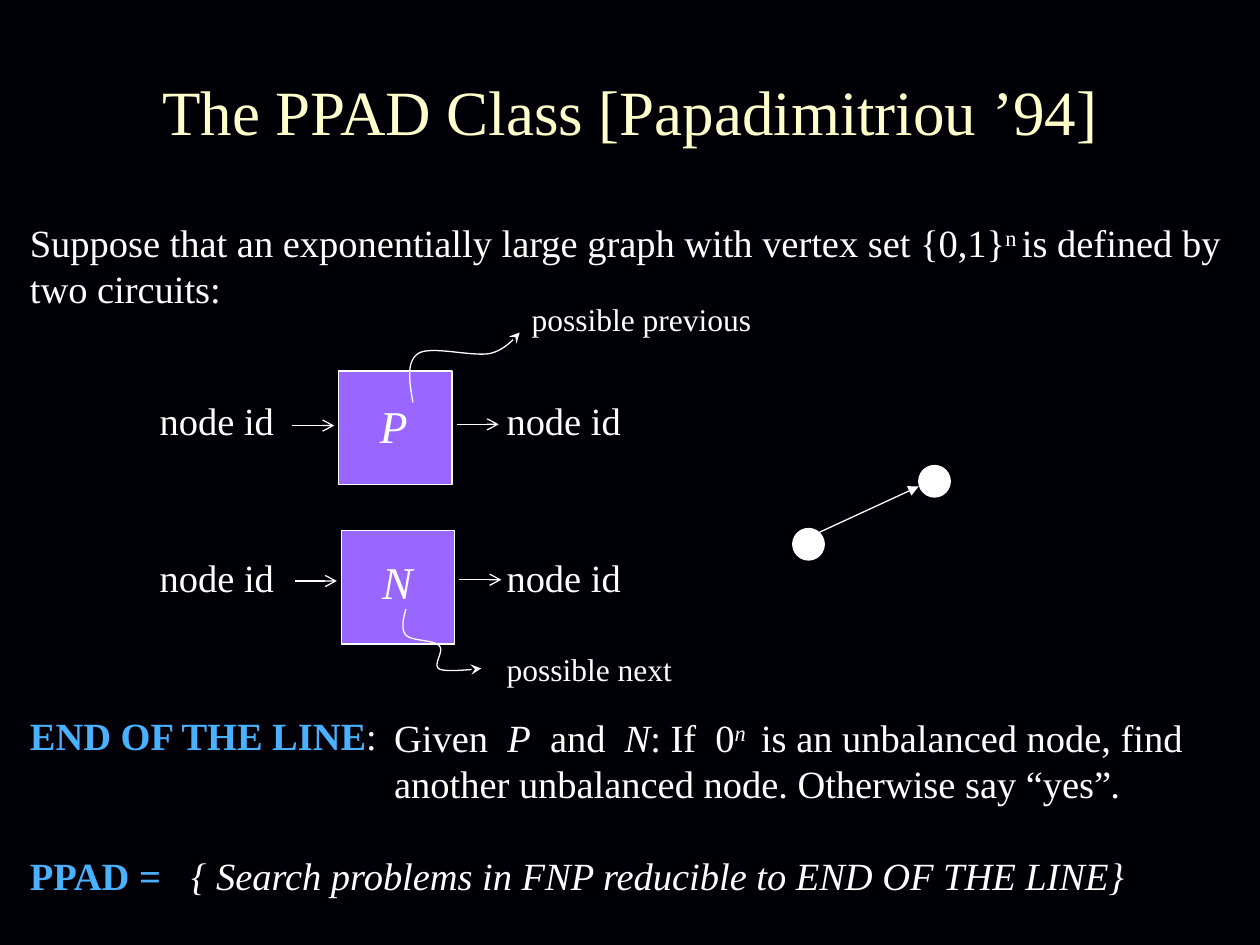
from lxml.etree import SubElement
from pptx import Presentation
from pptx.dml.color import RGBColor
from pptx.enum.shapes import MSO_CONNECTOR, MSO_SHAPE
from pptx.enum.text import MSO_ANCHOR, MSO_AUTO_SIZE, PP_ALIGN
from pptx.oxml.ns import qn
from pptx.util import Pt

NIGHT = RGBColor(0x01, 0x00, 0x06)
CREAM = RGBColor(0xFF, 0xFF, 0xCC)
WHITE = RGBColor(0xFF, 0xFF, 0xFF)
PURPLE = RGBColor(0x99, 0x66, 0xFF)
BLUE = RGBColor(0x49, 0xB1, 0xFF)

ITALIC = {"italic": True}
BOLD = {"bold": True}


class Deck:
    font = {"name": "Times New Roman", "bold": False, "italic": False}
    line_width = 0.75
    curve_steps = 16

    def __init__(self):
        self.prs = Presentation()
        self.prs.slide_width, self.prs.slide_height = Pt(720), Pt(540)

    def add_slide(self):
        self.s = self.prs.slides.add_slide(self.prs.slide_layouts[5])
        fill = self.s.background.fill
        fill.solid()
        fill.fore_color.rgb = NIGHT

    def add_run(self, p, text, size, color=WHITE, raised=False, **format_values):
        r = p.add_run()
        r.text = text
        for key, value in {**self.font, "size": Pt(size), **format_values}.items():
            setattr(r.font, key, value)
        r.font.color.rgb = color
        if raised:
            r._r.get_or_add_rPr().set("baseline", "30000")

    def title(self, text, left, top, width, height):
        sp = self.s.shapes.title
        sp.left, sp.top, sp.width, sp.height = map(Pt, (left, top, width, height))
        tf = sp.text_frame
        tf.vertical_anchor = MSO_ANCHOR.MIDDLE
        p = tf.paragraphs[0]
        p.alignment = PP_ALIGN.CENTER
        self.add_run(p, text, 36, CREAM)

    def text(self, runs, left, top, width, height=33.6, size=22, wrap=False):
        sp = self.s.shapes.add_textbox(*map(Pt, (left, top, width, height)))
        tf = sp.text_frame
        tf.word_wrap = wrap
        tf.auto_size = MSO_AUTO_SIZE.SHAPE_TO_FIT_TEXT
        for text, format_values in runs:
            self.add_run(tf.paragraphs[0], text, size, **format_values)

    def outline(self, sp):
        sp.line.color.rgb = WHITE
        sp.line.width = Pt(self.line_width)

    def head(self, sp, kind):
        SubElement(sp.line._get_or_add_ln(), qn("a:tailEnd"), type=kind)

    def shape(self, kind, left, top, side, color):
        sp = self.s.shapes.add_shape(kind, *map(Pt, (left, top, side, side)))
        sp.shadow.inherit = False
        sp.fill.solid()
        sp.fill.fore_color.rgb = color
        self.outline(sp)

    def arrow(self, x1, y1, x2, y2, kind="arrow"):
        sp = self.s.shapes.add_connector(
            MSO_CONNECTOR.STRAIGHT, *map(Pt, (x1, y1, x2, y2)))
        self.outline(sp)
        self.head(sp, kind)
        SubElement(sp._element.spPr, qn("a:effectLst"))

    def curve(self, start, *segments):
        points, a = [], start
        for b, c, d in segments:
            for i in range(1, self.curve_steps + 1):
                t = i / self.curve_steps
                u = 1 - t
                points.append(tuple(
                    Pt(u**3 * a[k] + 3 * u * u * t * b[k]
                       + 3 * u * t * t * c[k] + t**3 * d[k]) for k in (0, 1)))
            a = d
        builder = self.s.shapes.build_freeform(*map(Pt, start))
        builder.add_line_segments(points, close=False)
        sp = builder.convert_to_shape()
        sp.shadow.inherit = False
        sp.fill.background()
        self.outline(sp)
        self.head(sp, "stealth")

    def circuit(self, name, left, top, letter_left, letter_top, row_top, arrow_y):
        self.shape(MSO_SHAPE.RECTANGLE, left, top, 64.8, PURPLE)
        self.text([(name, ITALIC)], letter_left, letter_top, 40, 38.9, size=26)
        self.arrow(left - 26.5, arrow_y, left - 2.5, arrow_y)
        self.arrow(left + 67.5, arrow_y - 0.7, left + 91.5, arrow_y - 0.7)
        for x in (84.2, 282.4):
            self.text([("node id", {})], x, row_top, 80.6)


def main():
    deck = Deck()
    deck.add_slide()
    deck.title("The PPAD Class [Papadimitriou ’94]", 24, 18, 672, 90)
    deck.text([
        ("Suppose that an exponentially large graph with vertex set {0,1}", {}),
        ("n ", {"raised": True}),
        ("is defined by two circuits:", {}),
    ], 10, 121.8, 710, 60.5, wrap=True)

    deck.circuit("P", 193.5, 212, 210, 224, 223.6, 243.2)
    deck.circuit("N", 195, 303.2, 211.2, 313.3, 312.8, 332)

    deck.arrow(459.5, 308.2, 525, 278, "triangle")
    for x, y in ((453, 302), (525, 266)):
        deck.shape(MSO_SHAPE.OVAL, x, y, 18, WHITE)

    deck.text([("END OF THE LINE", {"color": BLUE, **BOLD}), (":", {})],
              10, 403.2, 215.3)
    deck.text([
        ("Given  ", {}),
        ("P", ITALIC),
        ("  and  ", {}),
        ("N", ITALIC),
        (": If  0", {}),
        ("n ", {"raised": True, **ITALIC}),
        (" is an unbalanced node, find another unbalanced node. "
         "Otherwise say “yes”", {}),
        (".", ITALIC),
    ], 218.2, 404.6, 501.8, 60.5, wrap=True)
    deck.text([("PPAD =", {"color": BLUE, **BOLD})], 10, 483.4, 90)
    deck.text([("{ Search problems in FNP reducible to END OF THE LINE}", ITALIC)],
              102.2, 483.4, 576, wrap=True)

    deck.curve((236, 230),
               ((234, 218.3), (232, 206.6), (239, 202)),
               ((246.2, 197.3), (270, 204), (280, 202)),
               ((289.5, 200), (297, 190), (297, 190)))
    deck.text([("possible previous", {})], 296.8, 167.8, 141, 28.8, size=18)
    deck.curve((232, 348),
               ((230.4, 353.5), (229, 359.5), (232, 363)),
               ((235.5, 366.5), (247.7, 365.5), (251, 369)),
               ((254.2, 372), (247, 380), (251, 382.3)),
               ((255, 384.5), (275, 382), (275, 382)))
    deck.text([("possible next", {})], 282.4, 367.9, 110, 28.8, size=18)
    deck.prs.save("out.pptx")


if __name__ == "__main__":
    main()
